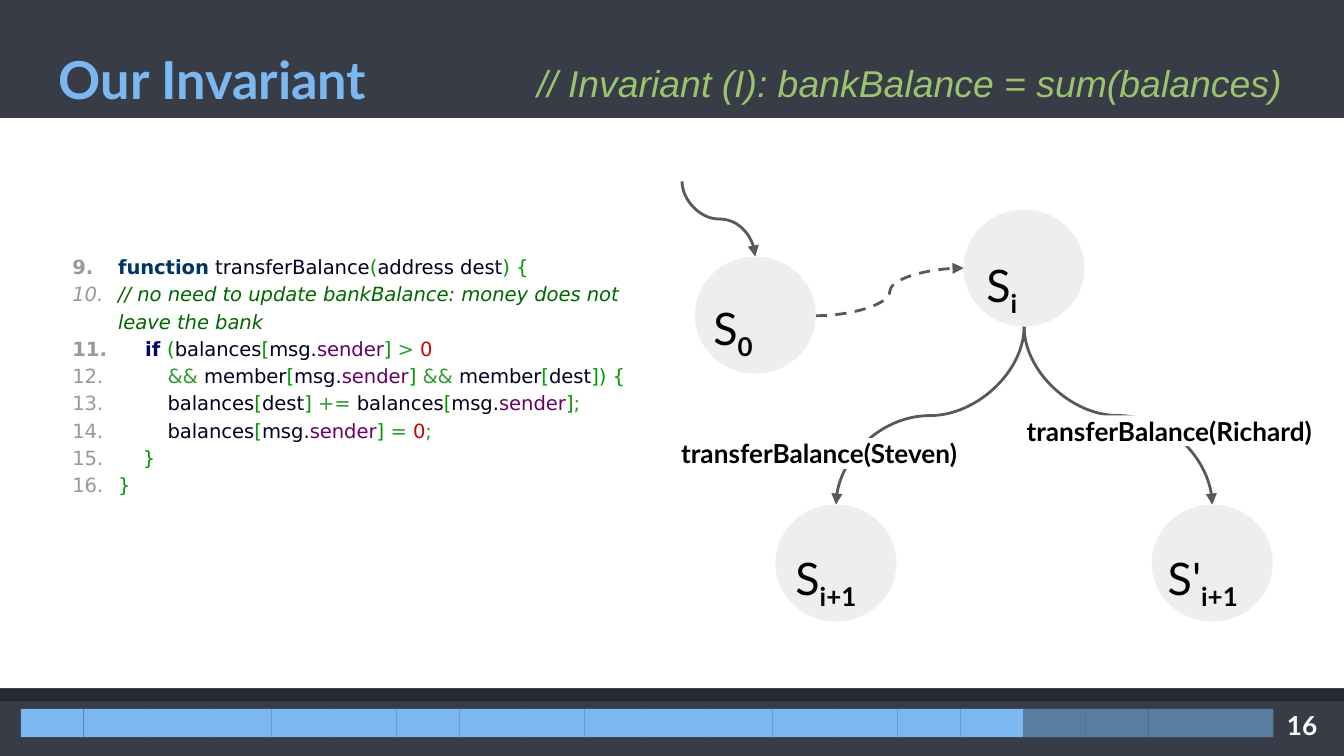
from dataclasses import dataclass

from lxml import etree
from pptx import Presentation
from pptx import util as u
from pptx.dml.color import RGBColor
from pptx.enum import dml, shapes, text
from pptx.oxml.ns import qn


@dataclass(frozen=True)
class Theme:
    background: str = "373C46"
    shade: str = "262A31"
    panel: str = "FFFFFF"
    accent: str = "7BB8F2"
    invariant: str = "9AC36D"
    node: str = "EEEEEE"
    arrow: str = "595959"
    ink: str = "000000"
    line_number: str = "999999"
    keyword: str = "003366"
    control: str = "000066"
    name: str = "000020"
    bracket: str = "009900"
    comment: str = "006600"
    member: str = "660066"
    operator: str = "339933"
    number: str = "CC0000"
    sans: str = "Lato"
    plain: str = "Arial"
    code: str = "DejaVu Sans"
    title_size: float = 28
    node_size: float = 24
    invariant_size: float = 20
    label_size: float = 14
    code_size: float = 10.5


class SlideBuilder:
    COLUMNS, ROWS = 100, 56.25

    def __init__(self, deck, theme):
        self.theme = theme
        self.column = deck.slide_width / self.COLUMNS
        self.row = deck.slide_height / self.ROWS
        self.slide = deck.slides.add_slide(deck.slide_layouts[6])
        fill = self.slide.background.fill
        fill.solid()
        fill.fore_color.rgb = RGBColor.from_string(theme.background)

    def place(self, left, top, width, height):
        return (u.Emu(round(left * self.column)), u.Emu(round(top * self.row)),
                u.Emu(round(width * self.column)), u.Emu(round(height * self.row)))

    def shape(self, area, color, kind=shapes.MSO_SHAPE.RECTANGLE, alpha=None):
        shape = self.slide.shapes.add_shape(kind, *self.place(*area))
        shape.shadow.inherit = False
        shape.fill.solid()
        shape.fill.fore_color.rgb = RGBColor.from_string(color)
        shape.line.fill.background()
        if alpha:
            tint = shape.fill._xPr.find(qn("a:solidFill"))[0]
            etree.SubElement(tint, qn("a:alpha"), val=str(alpha * 1000))
        return shape

    def frame(self, shape, anchor):
        frame = shape.text_frame
        frame.word_wrap = True
        frame.vertical_anchor = anchor
        frame.margin_left = frame.margin_right = u.Inches(0.1)
        frame.margin_top = frame.margin_bottom = u.Inches(0.1)
        return frame

    def span(self, para, words, font, size, color, bold=False, italic=False):
        span = para.add_run()
        span.text = words
        span.font.name = font
        span.font.size = u.Pt(size)
        span.font.bold = bold
        span.font.italic = italic
        span.font.color.rgb = RGBColor.from_string(color)
        return span

    def text(self, area, words, font, size, color, align=text.PP_ALIGN.LEFT,
             anchor=text.MSO_ANCHOR.TOP, **style):
        box = self.slide.shapes.add_textbox(*self.place(*area))
        para = self.frame(box, anchor).paragraphs[0]
        para.alignment = align
        self.span(para, words, font, size, color, **style)
        return para

    def label(self, area, words):
        shape = self.shape(area, self.theme.panel)
        para = self.frame(shape, text.MSO_ANCHOR.MIDDLE).paragraphs[0]
        para.alignment = text.PP_ALIGN.LEFT
        self.span(para, words, self.theme.sans, self.theme.label_size, self.theme.ink, bold=True)

    def node(self, left, top, letter, index, shift, drop, width):
        theme = self.theme
        self.shape((left, top, 9, 8.7), theme.node, shapes.MSO_SHAPE.OVAL)
        style = (theme.sans, theme.node_size, theme.ink, True)
        para = self.text((left + shift, top + drop, width, 5.4), letter, *style)
        para.line_spacing = 1.15
        subscript = self.span(para, index, *style)
        subscript._r.get_or_add_rPr().set("baseline", "-25000")

    def curve(self, start, end, vertical=True, dashed=False):
        (x1, y1), (x2, y2) = start, end
        turn = None
        if vertical:
            middle_x, middle_y = (x1 + x2) / 2, (y1 + y2) / 2
            half_x, half_y = (y2 - y1) / 2, abs(x2 - x1) / 2
            side = 1 if x2 > x1 else -1
            turn = 270 if side == 1 else 90
            x1, x2 = middle_x + side * half_x, middle_x - side * half_x
            y1, y2 = middle_y - half_y, middle_y + half_y
        line = self.slide.shapes.add_connector(
            shapes.MSO_CONNECTOR.CURVE, *self.place(x1, y1, x2, y2))
        if turn:
            line._element.spPr.find(qn("a:xfrm")).set("rot", str(turn * 60000))
        line.line.color.rgb = RGBColor.from_string(self.theme.arrow)
        line.line.width = u.Pt(1.5)
        if dashed:
            line.line.dash_style = dml.MSO_LINE.DASH
        etree.SubElement(line.line._get_or_add_ln(), qn("a:tailEnd"), type="triangle")
        etree.SubElement(line._element.spPr, qn("a:effectLst"))

    def code(self, area, lines, first_number):
        theme = self.theme
        box = self.slide.shapes.add_textbox(*self.place(*area))
        frame = self.frame(box, text.MSO_ANCHOR.TOP)
        for position, line in enumerate(lines):
            para = frame.add_paragraph() if position else frame.paragraphs[0]
            para.line_spacing = 1.16
            layout = para._p.get_or_add_pPr()
            layout.set("marL", str(u.Inches(0.5)))
            layout.set("indent", str(u.Inches(-0.34)))
            tint = etree.SubElement(layout, qn("a:buClr"))
            etree.SubElement(tint, qn("a:srgbClr"), val=theme.line_number)
            etree.SubElement(layout, qn("a:buAutoNum"), type="arabicPeriod",
                             startAt=str(first_number))
            for role, words in line:
                self.span(para, words, theme.code, theme.code_size, getattr(theme, role),
                          bold=role in ("keyword", "control"), italic=role == "comment")

    def progress(self, left, top, width, height, done, total):
        step = width / total
        for index in range(total):
            self.shape((left + index * step, top, step, height), self.theme.accent,
                       alpha=None if index < done else 52)


SENDER = [("bracket", "["), ("name", "msg."), ("member", "sender")]
CODE = [
    [("keyword", "function"), ("name", " transferBalance"), ("bracket", "("),
     ("name", "address dest"), ("bracket", ") {")],
    [("comment", "// no need to update bankBalance: money does not leave the bank")],
    [("control", "    if "), ("bracket", "("), ("name", "balances"), *SENDER,
     ("bracket", "] "), ("operator", "> "), ("number", "0")],
    [("operator", "        && "), ("name", "member"), *SENDER, ("bracket", "] "),
     ("operator", "&&"), ("name", " member"), ("bracket", "["), ("name", "dest"),
     ("bracket", "]) {")],
    [("name", "        balances"), ("bracket", "["), ("name", "dest"), ("bracket", "] "),
     ("operator", "+="), ("name", " balances"), *SENDER, ("bracket", "]"),
     ("operator", ";")],
    [("name", "        balances"), *SENDER, ("bracket", "] "), ("operator", "= "),
     ("number", "0"), ("operator", ";")],
    [("bracket", "    }")],
    [("bracket", "}")],
]


def main():
    deck = Presentation()
    deck.slide_width, deck.slide_height = u.Inches(10), u.Inches(5.625)
    theme = Theme()
    page = SlideBuilder(deck, theme)

    page.shape((0, 8.8, 100, 43.4), theme.shade)
    page.shape((0, 8.8, 100, 42.4), theme.panel)
    page.text((3.4, 2.5, 26.4, 6.3), "Our Invariant", theme.sans, theme.title_size,
              theme.accent, bold=True)
    page.text((34.4, 4, 62, 4.3), "// Invariant (I): bankBalance = sum(balances)",
              theme.plain, theme.invariant_size, theme.invariant,
              text.PP_ALIGN.RIGHT, text.MSO_ANCHOR.MIDDLE, italic=True)
    page.code((2.8, 17.7, 45.9, 23.4), CODE, 9)

    page.curve((60.7, 23.5), (71.7, 19.95), vertical=False, dashed=True)
    page.curve((50.75, 13.5), (56.2, 19.1))
    for target in (62.2, 90.2):
        page.curve((76.2, 24.3), (target, 37.55))
    page.node(51.7, 19.1, "S", "0", 0.4, 1.6, 6)
    page.node(71.7, 15.6, "S", "i", 0.7, 1.9, 6)
    page.node(85.7, 37.55, "S'", "i+1", 0.2, 1.75, 9.2)
    page.node(57.7, 37.55, "S", "i+1", 0.5, 1.75, 7.5)
    page.label((75.4, 30.9, 24.9, 2.3), "transferBalance(Richard)")
    page.label((49.7, 32.6, 23.5, 2.3), "transferBalance(Steven)")

    page.progress(1.56, 52.75, 93.2, 2.1, 16, 20)
    page.text((94.1, 52.6, 4.9, 2.7), "16", theme.sans, theme.label_size, theme.panel,
              text.PP_ALIGN.RIGHT, text.MSO_ANCHOR.MIDDLE, bold=True)
    deck.save("out.pptx")


if __name__ == "__main__":
    main()
